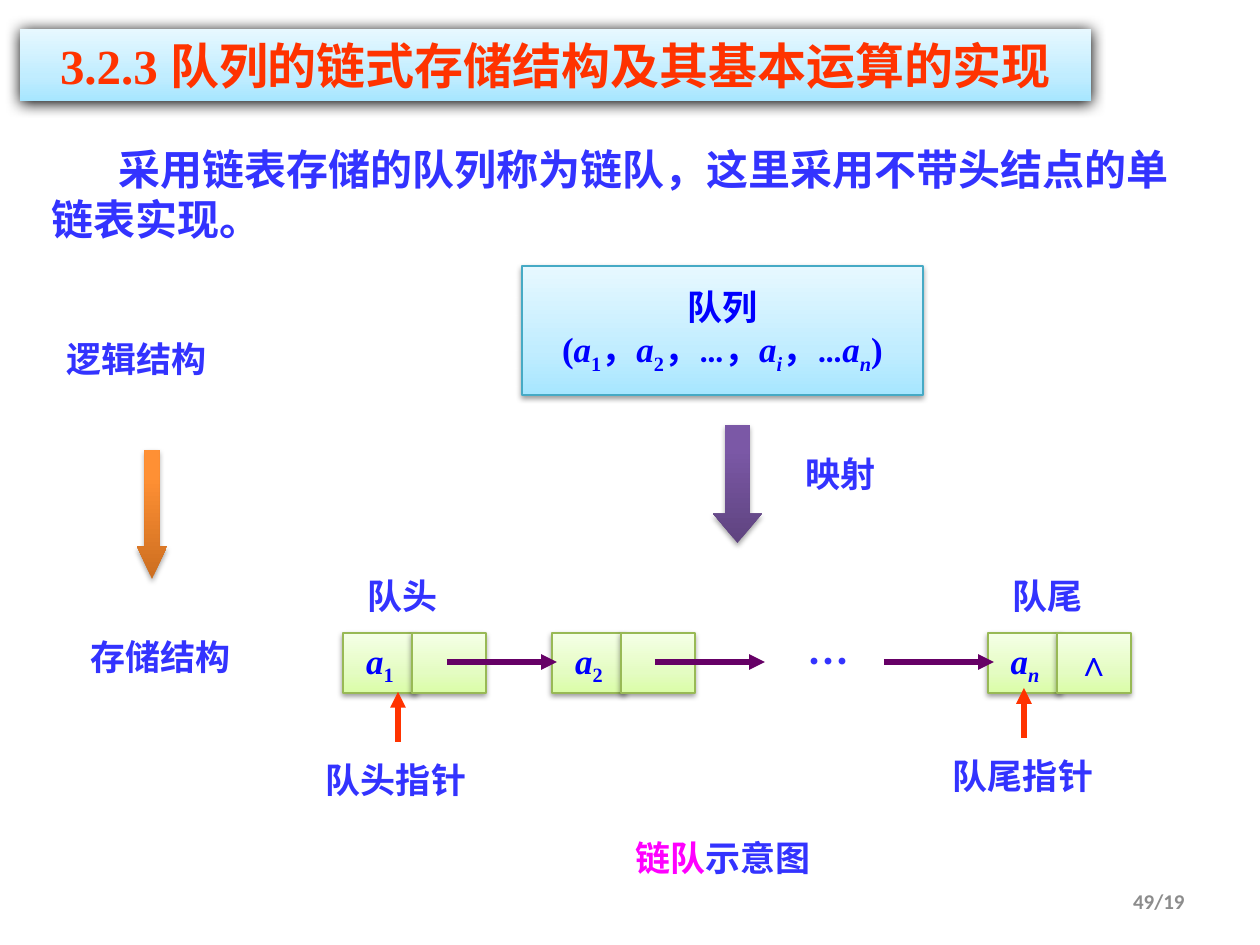
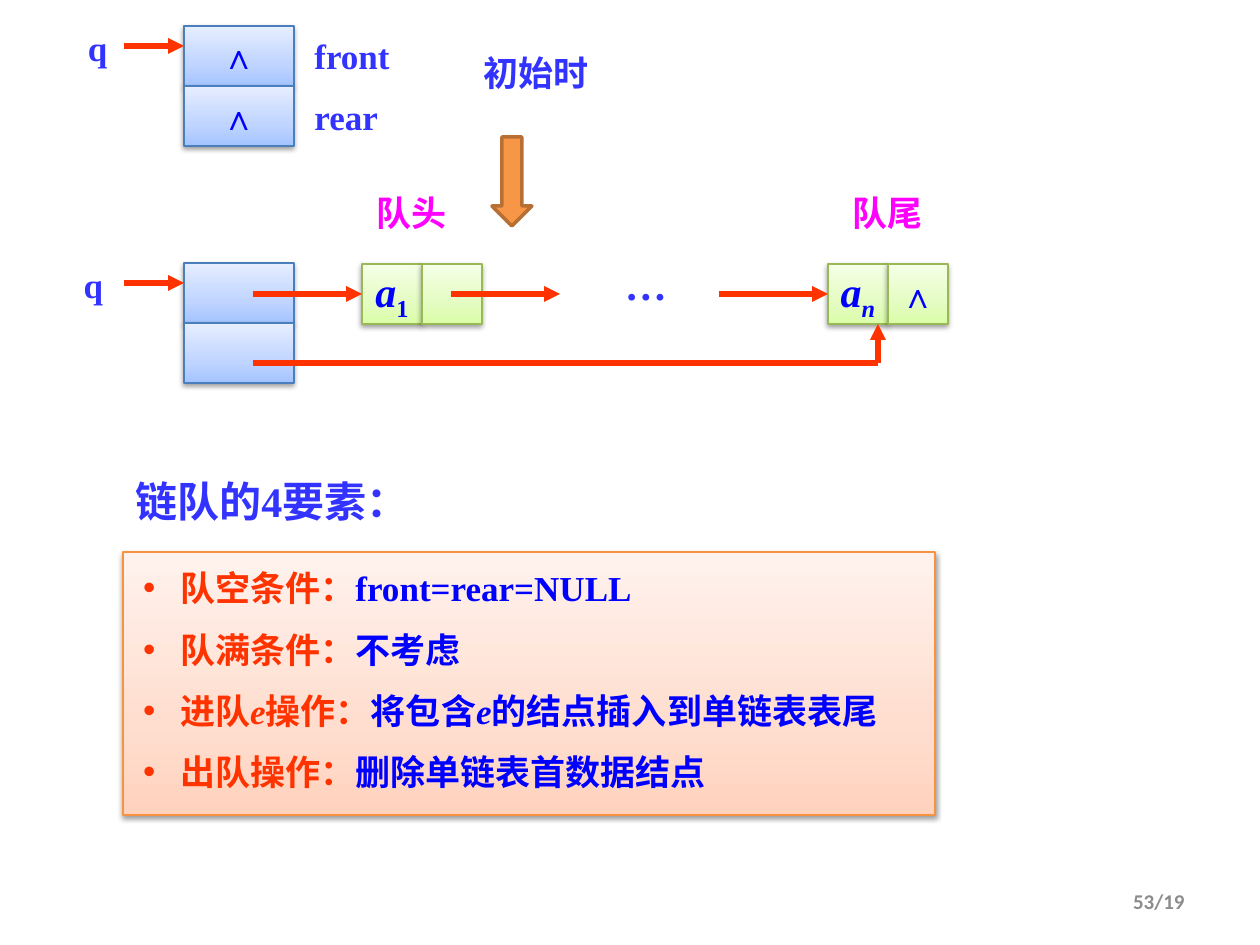
from dataclasses import dataclass

from lxml.etree import SubElement
from pptx import Presentation
from pptx.dml.color import RGBColor
from pptx.enum.lang import MSO_LANGUAGE_ID
from pptx.enum.shapes import MSO_CONNECTOR, MSO_SHAPE
from pptx.enum.text import MSO_ANCHOR, PP_ALIGN
from pptx.oxml.ns import qn
from pptx.util import Emu, Pt

EMU_PER_PX = 914400 / 126


@dataclass(frozen=True)
class Theme:
    serif: str = "Times New Roman"
    sans: str = "Noto Sans CJK SC"
    footer_font: str = "Calibri"
    east_asian: str = "Calibri"
    label: str = "3333FF"
    value: str = "0000FF"
    accent: str = "FF3300"
    magenta: str = "FF00FF"
    link: str = "660066"
    muted: str = "8C8C8C"
    title_size: int = 28
    lead_size: int = 24
    text_size: int = 20
    footer_size: int = 12
    # Gradient stops run from bottom to top
    sky: tuple = ((0, "A7E6FF"), (35, "C1EDFF"), (100, "E7F8FF"))
    lime: tuple = ((0, "DAFDA7"), (35, "E4FCC2"), (100, "F5FFE7"))
    azure: tuple = ((0, "A4C4FF"), (35, "BFD4FF"), (100, "E6EEFF"))
    peach: tuple = ((0, "FFD2BD"), (35, "FFDED0"), (100, "FFF2ED"))
    violet: tuple = ((0, "5F4480"), (80, "7B58A6"), (100, "7C57A8"))
    amber: tuple = ((0, "CC6E20"), (80, "FF9034"), (100, "FF9136"))
    orange: str = "F79646"
    sky_line: str = "46AAC5"
    lime_line: str = "98B955"
    azure_line: str = "4B7EBC"
    peach_line: str = "F69240"
    orange_line: str = "B76F34"
    # Shadow: blur in points, distance in points, opacity in percent
    soft: tuple = (3.1, 1.6, 38)
    arrow_soft: tuple = (3.1, 1.8, 35)
    heavy: tuple = (8.5, 1, 100)


THEME = Theme()


def px(length):
    return Emu(round(length * EMU_PER_PX))


def rgb(code):
    return RGBColor.from_string(code)


def variable(name, subscript):
    """Spans for an italic name with a subscript; only letters lean."""
    return [(name, {"italic": True}),
            (subscript, {"italic": subscript.isalpha(), "baseline": -25})]


def write(paragraph, text, size=THEME.text_size, color=THEME.label, name=THEME.serif,
          bold=True, italic=False, baseline=0):
    span = paragraph.add_run()
    span.text = text
    font = span.font
    font.size, font.name, font.bold, font.italic = Pt(size), name, bold, italic
    font.color.rgb = rgb(color)
    font.language_id = MSO_LANGUAGE_ID.SIMPLIFIED_CHINESE
    properties = span._r.get_or_add_rPr()
    SubElement(properties, qn("a:ea"), typeface=THEME.east_asian)
    if baseline:
        properties.set("baseline", str(baseline * 1000))


def indent(paragraph, margin, first_line, bullet=None):
    properties = paragraph._p.get_or_add_pPr()
    properties.set("marL", str(px(margin)))
    properties.set("indent", str(px(first_line)))
    if bullet:
        SubElement(properties, qn("a:buFont"), typeface="Arial")
        SubElement(properties, qn("a:buChar"), char=bullet)


def add_shadow(shape, blur, distance, opacity):
    effects = SubElement(shape._element.spPr, qn("a:effectLst"))
    outer = SubElement(effects, qn("a:outerShdw"), blurRad=str(Pt(blur)),
                       dist=str(Pt(distance)), dir="5400000", rotWithShape="0")
    black = SubElement(outer, qn("a:srgbClr"), val="000000")
    SubElement(black, qn("a:alpha"), val=str(opacity * 1000))


def fill_gradient(shape, stops):
    shape.fill.gradient()
    shape.fill.gradient_angle = 90
    stop_list = shape._element.spPr.find(qn("a:gradFill")).find(qn("a:gsLst"))
    for stop in list(stop_list):
        stop_list.remove(stop)
    for position, color in stops:
        stop = SubElement(stop_list, qn("a:gs"), pos=str(position * 1000))
        SubElement(stop, qn("a:srgbClr"), val=color)


class Painter:
    def __init__(self, deck, theme):
        self.deck, self.theme, self.page = deck, theme, None

    def new_page(self, number):
        self.page = self.deck.slides.add_slide(self.deck.slide_layouts[6])
        self.text(903, 876, 294, 50, f"{number}/19", align=PP_ALIGN.RIGHT,
                  anchor=MSO_ANCHOR.MIDDLE, size=self.theme.footer_size,
                  color=self.theme.muted, name=self.theme.footer_font)

    def fill_text(self, shape, lines, align=PP_ALIGN.LEFT, anchor=MSO_ANCHOR.TOP,
                  wrap=True, **style):
        """Write lines; each is a string or a list of (text, format) spans."""
        frame = shape.text_frame
        frame.word_wrap, frame.vertical_anchor = wrap, anchor
        for index, line in enumerate(lines):
            paragraph = frame.add_paragraph() if index else frame.paragraphs[0]
            paragraph.alignment = align
            if index and anchor == MSO_ANCHOR.TOP:
                paragraph.space_before = Pt(11)
            spans = [(line, {})] if isinstance(line, str) else line
            for text, override in spans:
                write(paragraph, text, **{**style, **override})
        return shape

    def text(self, left, top, width, height, *lines, **style):
        box = self.page.shapes.add_textbox(px(left), px(top), px(width), px(height))
        return self.fill_text(box, lines, **style)

    def label(self, left, top, width, text, height=55, **style):
        return self.text(left, top, width, height, text, align=PP_ALIGN.CENTER, **style)

    def shape(self, left, top, width, height, fill, line=None, shadow=None,
              kind=MSO_SHAPE.RECTANGLE, line_width=0.75):
        shape = self.page.shapes.add_shape(kind, px(left), px(top), px(width), px(height))
        shape.shadow.inherit = False
        if isinstance(fill, str):
            shape.fill.solid()
            shape.fill.fore_color.rgb = rgb(fill)
        else:
            fill_gradient(shape, fill)
        if line:
            shape.line.color.rgb = rgb(line)
            shape.line.width = Pt(line_width)
        else:
            shape.line.fill.background()
        if shadow:
            properties = shape._element.spPr
            properties.remove(properties.find(qn("a:effectLst")))
            add_shadow(shape, *shadow)
        return shape

    def cell(self, left, top, width, height, fill, line, *lines, **style):
        """A framed box with its content centred both ways."""
        box = self.shape(left, top, width, height, fill, line, self.theme.soft)
        if lines:
            self.fill_text(box, lines, align=PP_ALIGN.CENTER, anchor=MSO_ANCHOR.MIDDLE,
                           wrap=False, **{"color": self.theme.value, **style})

    def node(self, left, top, width, pitch, data, mark=None, **style):
        """A list node: a data cell and a pointer cell."""
        look = (self.theme.lime, self.theme.lime_line)
        self.cell(left, top, width, 60, *look, data, **style)
        self.cell(left + pitch, top, width, 60, *look, *([mark] if mark else []))

    def record(self, left, top, label_left, mark=None):
        """The queue record with its two pointer cells and the pointer q."""
        for row in range(2):
            self.cell(left, top + 60 * row, 110, 60, self.theme.azure,
                      self.theme.azure_line, *([mark] if mark else []))
        self.line(left - 60, top + 20, left, top + 20)
        self.label(label_left, top - 6, 59, "q")

    def line(self, x1, y1, x2, y2, color=THEME.accent, arrow=True):
        connector = self.page.shapes.add_connector(
            MSO_CONNECTOR.STRAIGHT, px(x1), px(y1), px(x2), px(y2))
        connector.line.color.rgb = rgb(color)
        connector.line.width = Pt(3)
        properties = connector._element.spPr
        if arrow:
            SubElement(properties.find(qn("a:ln")), qn("a:tailEnd"), type="triangle")
        SubElement(properties, qn("a:effectLst"))

    def down_arrow(self, left, top, width, height, fill, head=0.5, **look):
        arrow = self.shape(left, top, width, height, fill, kind=MSO_SHAPE.DOWN_ARROW, **look)
        arrow.adjustments[1] = head

    def title(self, text):
        band = self.shape(20, 29, 1071, 72, self.theme.sky, shadow=self.theme.heavy)
        self.fill_text(band, [text], align=PP_ALIGN.CENTER,
                       size=self.theme.title_size, color=self.theme.accent)


def draw_linked_storage(painter):
    theme = painter.theme
    painter.new_page(49)
    painter.title("3.2.3 队列的链式存储结构及其基本运算的实现")
    lead = painter.text(39, 137, 1172, 115,
                        "采用链表存储的队列称为链队，这里采用不带头结点的单链表实现。",
                        size=theme.lead_size)
    indent(lead.text_frame.paragraphs[0], 0, 67)

    sequence = [("(", {}), *variable("a", "1"), ("，", {}), *variable("a", "2"),
                ("，…，", {}), *variable("a", "i"), ("，…", {}), *variable("a", "n"),
                (")", {})]
    painter.cell(522, 266, 401, 129, theme.sky, theme.sky_line, "队列", sequence)
    painter.down_arrow(713, 425, 49, 118, theme.violet, 0.6, shadow=theme.arrow_soft)
    painter.label(782, 446, 117, "映射")

    painter.text(54, 331, 183, 55, "逻辑结构")
    painter.down_arrow(137, 450, 30, 129, theme.amber, 1.08, shadow=theme.arrow_soft)
    painter.text(78, 629, 183, 55, "存储结构")

    for left, subscript, mark in ((343, "1", None), (552, "2", None), (988, "n", "∧")):
        painter.node(left, 633, 74, 69, variable("a", subscript), mark)
    for start in (447, 655, 884):
        painter.line(start, 662, start + 110, 662, theme.link)
    painter.label(769, 629, 120, "…", 63, size=theme.lead_size, name=theme.sans)

    for end, left, tip in (("队头", 333, 692), ("队尾", 978, 688)):
        painter.label(left, 568, 139, end)
        painter.line(left + 65 - 19 * (end == "队尾"), tip + 50,
                     left + 65 - 19 * (end == "队尾"), tip)
        painter.label(left - 46 - 18 * (end == "队尾"), tip + 60, 218, end + "指针")
    painter.label(585, 830, 276, [("链队", {"color": theme.magenta}), ("示意图", {})])


def draw_queue_elements(painter):
    theme = painter.theme
    painter.new_page(53)
    painter.record(184, 26, 68, "∧")
    painter.text(302, 28, 189, 117, "front", "rear")
    painter.text(471, 45, 159, 54, "初始时", name=theme.sans)
    painter.down_arrow(492, 137, 40, 89, theme.orange, line=theme.orange_line, line_width=2)

    painter.record(184, 263, 64)
    for left, subscript, mark in ((362, "1", None), (828, "n", "∧")):
        painter.node(left, 264, 60, 60, variable("a", subscript), mark,
                     size=theme.lead_size)
    for start in (253, 451, 719):
        painter.line(start, 294, start + 109, 294)
    painter.line(253, 363, 878, 363, arrow=False)
    painter.line(878, 363, 878, 324)
    painter.label(591, 252, 110, "…", 63, size=theme.lead_size)
    for left, end in ((362, "队头"), (838, "队尾")):
        painter.label(left, 185, 100, end, color=theme.magenta, name=theme.sans)

    painter.text(123, 469, 745, 63, "链队的4要素：", size=theme.lead_size)
    value, slanted = {"color": theme.value}, {"italic": True}
    panel = painter.shape(123, 552, 812, 263, theme.peach, theme.peach_line, theme.soft)
    frame = painter.fill_text(panel, [
        [("队空条件：", {}), ("front=rear=NULL", value)],
        [("队满条件：", {}), ("不考虑", value)],
        [("进队", {}), ("e", slanted), ("操作：", {}), ("将包含", value),
         ("e", {**value, **slanted}), ("的结点插入到单链表表尾", value)],
        [("出队操作：", {}), ("删除单链表首数据结点", value)],
    ], color=theme.accent).text_frame
    frame.margin_left = frame.margin_right = px(20)
    frame.margin_top = frame.margin_bottom = px(15)
    for paragraph in frame.paragraphs:
        indent(paragraph, 37, -37, "•")


def main():
    deck = Presentation()
    deck.slide_width, deck.slide_height = px(1260), px(945)
    painter = Painter(deck, THEME)
    draw_linked_storage(painter)
    draw_queue_elements(painter)
    deck.save("out.pptx")


if __name__ == "__main__":
    main()
